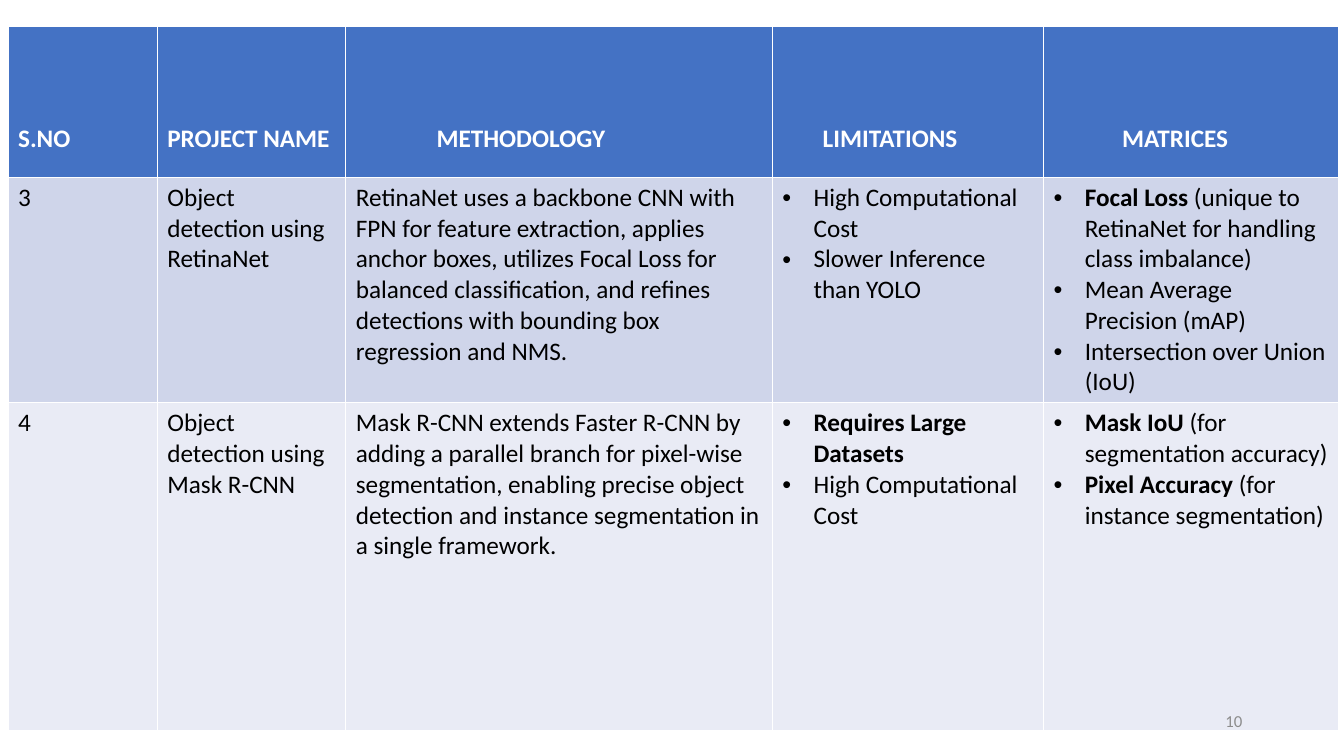
from pptx import Presentation
from pptx.dml.color import RGBColor
from pptx.enum.text import MSO_ANCHOR, PP_ALIGN
from pptx.oxml.xmlchemy import OxmlElement
from pptx.util import Inches, Pt

WHITE = RGBColor(0xFF, 0xFF, 0xFF)
BLACK = RGBColor(0, 0, 0)
GRAY = RGBColor(0x8C, 0x8C, 0x8C)
HEADER_BLUE = RGBColor(0x44, 0x72, 0xC4)
BAND_FILLS = [RGBColor(0xCF, 0xD5, 0xEA), RGBColor(0xE9, 0xEB, 0xF5)]

COLUMN_WIDTHS = [1.48, 1.87, 4.23, 2.69, 2.93]
ROW_HEIGHTS = [1.5, 2.22, 3.25]
HEADINGS = [("S.NO", 0), ("PROJECT NAME", 0), ("METHODOLOGY", 0.8),
            ("LIMITATIONS", 0.4), ("MATRICES", 0.68)]
PROJECTS = [
    ("3", "Object detection using RetinaNet",
     "RetinaNet uses a backbone CNN with FPN for feature extraction, applies anchor boxes, "
     "utilizes Focal Loss for balanced classification, and refines detections with "
     "bounding box regression and NMS.",
     [("", "High Computational Cost"), ("", "Slower Inference than YOLO")],
     [("Focal Loss", " (unique to RetinaNet for handling class imbalance)"),
      ("", "Mean Average Precision (mAP)"), ("", "Intersection over Union (IoU)")]),
    ("4", "Object detection using Mask R-CNN",
     "Mask R-CNN extends Faster R-CNN by adding a parallel branch for pixel-wise "
     "segmentation, enabling precise object detection and instance segmentation "
     "in a single framework.",
     [("Requires Large Datasets", ""), ("", "High Computational Cost")],
     [("Mask IoU", " (for segmentation accuracy)"),
      ("Pixel Accuracy", " (for instance segmentation)")]),
]


def style_font(paragraph, size, color, bold=False):
    font = paragraph.font
    font.name, font.size, font.bold = "Calibri", Pt(size), bold
    font.color.rgb = color


def add_bullet(paragraph):
    properties = paragraph._p.get_or_add_pPr()
    properties.set("marL", str(Inches(0.31)))
    properties.set("indent", str(-Inches(0.31)))
    for tag, attribute, value in [("a:buFont", "typeface", "Arial"), ("a:buChar", "char", "•")]:
        element = OxmlElement(tag)
        element.set(attribute, value)
        properties.insert_element_before(element, "a:tabLst", "a:defRPr", "a:extLst")


prs = Presentation()
prs.slide_width, prs.slide_height = Inches(13.33), Inches(7.5)
slide = prs.slides.add_slide(prs.slide_layouts[6])

comparison = slide.shapes.add_table(
    len(ROW_HEIGHTS), len(COLUMN_WIDTHS), Inches(0.08), Inches(0.26),
    Inches(sum(COLUMN_WIDTHS)), Inches(sum(ROW_HEIGHTS))).table
for column, width in zip(comparison.columns, COLUMN_WIDTHS):
    column.width = Inches(width)
for row, height in zip(comparison.rows, ROW_HEIGHTS):
    row.height = Inches(height)

for column_index, (heading, indent) in enumerate(HEADINGS):
    cell = comparison.cell(0, column_index)
    cell.fill.solid()
    cell.fill.fore_color.rgb = HEADER_BLUE
    cell.vertical_anchor = MSO_ANCHOR.BOTTOM
    cell.margin_bottom = Inches(0.23)
    cell.margin_left = Inches(0.1 + indent)
    cell.text = heading
    style_font(cell.text_frame.paragraphs[0], 18, WHITE, True)

for row_index, (project, band_fill) in enumerate(zip(PROJECTS, BAND_FILLS), 1):
    for column_index, content in enumerate(project):
        cell = comparison.cell(row_index, column_index)
        cell.fill.solid()
        cell.fill.fore_color.rgb = band_fill
        if isinstance(content, str):
            cell.text = content
            style_font(cell.text_frame.paragraphs[0], 18, BLACK)
            continue
        for item_index, (term, detail) in enumerate(content):
            frame = cell.text_frame
            item = frame.add_paragraph() if item_index else frame.paragraphs[0]
            style_font(item, 18, BLACK)
            add_bullet(item)
            for wording, bold in [(term, True), (detail, False)]:
                if wording:
                    run = item.add_run()
                    run.text = wording
                    run.font.bold = bold

page_number = slide.shapes.add_textbox(
    Inches(9.42), Inches(6.95), Inches(3), Inches(0.4)).text_frame
page_number.word_wrap = True
page_number.vertical_anchor = MSO_ANCHOR.MIDDLE
page_number.text = "10"
page_number.paragraphs[0].alignment = PP_ALIGN.RIGHT
style_font(page_number.paragraphs[0], 12, GRAY)

prs.save("out.pptx")
